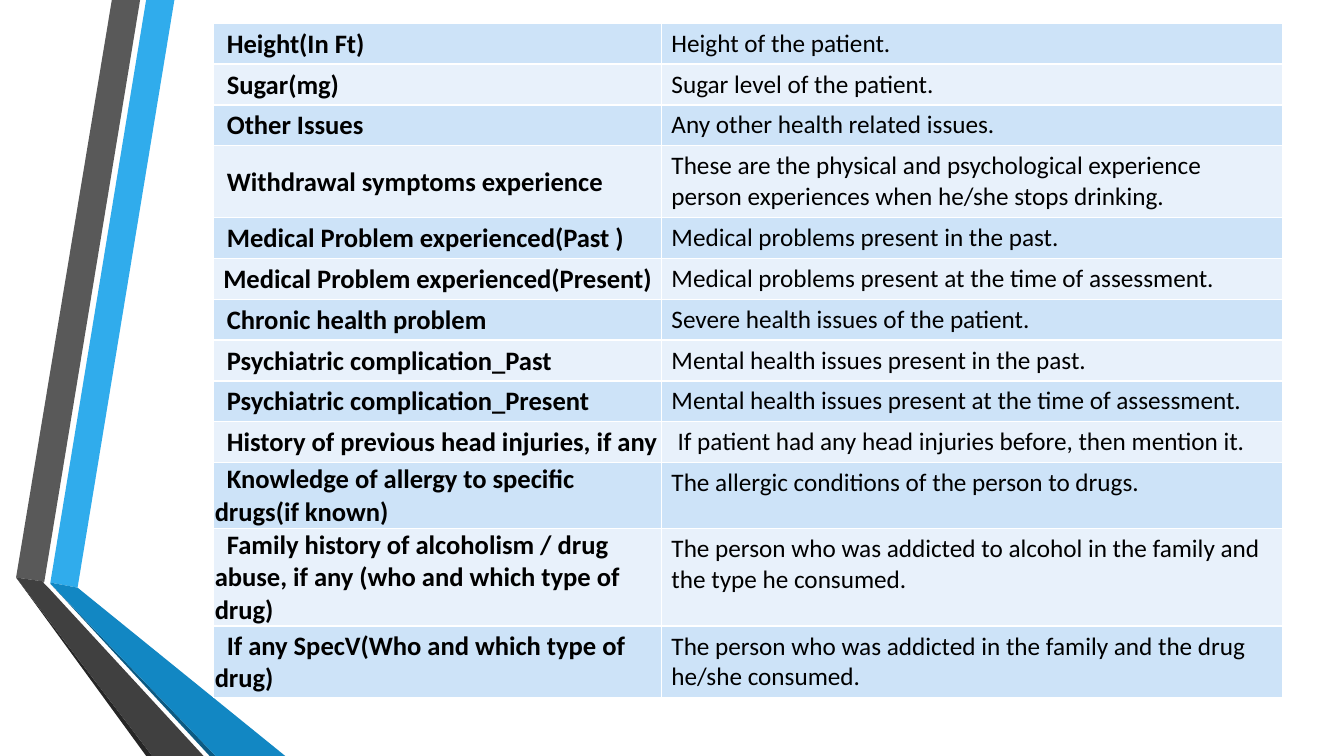
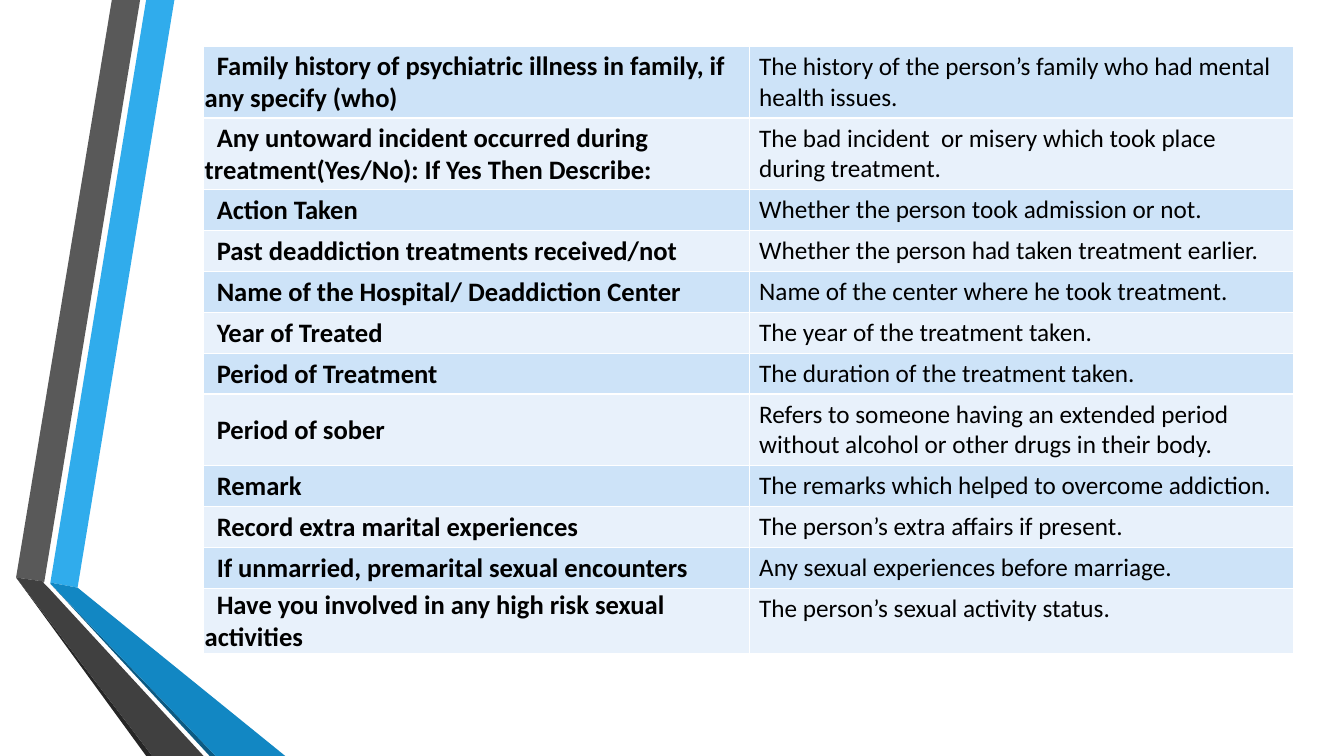
"""Builds two slides of patient record fields beside a folded ribbon."""
import lxml.etree
import pptx
import pptx.dml.color
import pptx.enum.text
import pptx.oxml.ns
import pptx.util

PX = 9144
FONT = "Calibri"
ALIGN = pptx.enum.text.PP_ALIGN
ANCHOR = pptx.enum.text.MSO_ANCHOR
HEX = {
    "sky": "30ACEC", "grey": "595959", "black": "262626", "navy": "0C5A82",
    "blue": "1287C3", "coal": "404040", "ink": "000000", "rule": "FFFFFF",
    "dark": "CDE3F8", "light": "E8F1FB",
}
BANDS = [
    ("sky", [(50, 578), (77, 583), (173, 0), (145, 0)]),
    ("grey", [(139, 0), (111, 0), (16, 573), (44, 577)]),
    ("black", [(16, 573), (145, 750), (151, 750)]),
    ("navy", [(50, 579), (208, 750), (214, 750)]),
    ("blue", [(50, 579), (214, 750), (283, 750), (77, 583), (50, 578)]),
    ("coal", [(202, 750), (48, 583), (43, 578), (44, 577), (16, 573), (151, 750)]),
]
LABEL = dict(size=19, bold=True, indent=12, anchor=ANCHOR.MIDDLE, inset=(1, 1, 1, 0))
MIDDLE = dict(align=ALIGN.CENTER, indent=0)
HEALTH = [
    ("Height(In Ft)", "Height of the patient."),
    ("Sugar(mg)", "Sugar level of the patient."),
    ("Other Issues", "Any other health related issues."),
    ("Withdrawal symptoms experience",
     "These are the physical and psychological experience person experiences "
     "when he/she stops drinking."),
    ("Medical Problem experienced(Past )", "Medical problems present in the past."),
    ("Medical Problem experienced(Present)",
     "Medical problems present at the time of assessment.", MIDDLE),
    ("Chronic health problem", "Severe health issues of the patient."),
    ("Psychiatric complication_Past", "Mental health issues present in the past."),
    ("Psychiatric complication_Present",
     "Mental health issues present at the time of assessment."),
    ("History of previous head injuries, if any",
     "If patient had any head injuries before, then mention it.",
     {}, dict(indent=6)),
    ("Knowledge of allergy to specific drugs(if known)",
     "The allergic conditions of the person to drugs."),
    ("Family history of alcoholism / drug abuse, if any (who and which type of drug)",
     "The person who was addicted to alcohol in the family and the type he consumed."),
    ("If any SpecV(Who and which type of drug)",
     "The person who was addicted in the family and the drug he/she consumed."),
]
CARE = [
    ("Family history of psychiatric illness in family, if any specify (who)",
     "The history of the person’s family who had mental health issues."),
    ("Any untoward incident occurred during treatment(Yes/No): If Yes Then Describe:",
     "The bad incident  or misery which took place during treatment."),
    ("Action Taken", "Whether the person took admission or not."),
    ("Past deaddiction treatments received/not",
     "Whether the person had taken treatment earlier."),
    ("Name of the Hospital/ Deaddiction Center",
     "Name of the center where he took treatment."),
    ("Year of Treated", "The year of the treatment taken."),
    ("Period of Treatment", "The duration of the treatment taken."),
    ("Period of sober",
     "Refers to someone having an extended period without alcohol or other drugs "
     "in their body."),
    ("Remark", "The remarks which helped to overcome addiction."),
    ("Record extra marital experiences", "The person’s extra affairs if present."),
    ("If unmarried, premarital sexual encounters",
     "Any sexual experiences before marriage."),
    ("Have you involved in any high risk sexual activities",
     "The person’s sexual activity status."),
]


def px(n):
    return pptx.util.Emu(n * PX)


def paint(fill, name):
    fill.solid()
    fill.fore_color.rgb = pptx.dml.color.RGBColor.from_string(HEX[name])


def write(cell, text, size=18, bold=False, indent=0, align=ALIGN.LEFT,
          anchor=ANCHOR.TOP, inset=(10, 5, 10, 5)):
    sides = ("margin_left", "margin_top", "margin_right", "margin_bottom")
    for side, gap in zip(sides, inset):
        setattr(cell, side, px(gap))
    cell.vertical_anchor = anchor
    para = cell.text_frame.paragraphs[0]
    para.alignment = align
    para._p.get_or_add_pPr().set("indent", str(px(indent)))
    run = para.add_run()
    run.text = text
    run.font.name, run.font.size, run.font.bold = FONT, pptx.util.Pt(size), bold
    paint(run.font.fill, "ink")


def edge(cell):
    qn = pptx.oxml.ns.qn
    props = cell._tc.get_or_add_tcPr()
    for side in ("lnL", "lnR", "lnT", "lnB"):
        line = lxml.etree.SubElement(props, qn("a:" + side), w=str(pptx.util.Pt(1)))
        fill = lxml.etree.SubElement(line, qn("a:solidFill"))
        lxml.etree.SubElement(fill, qn("a:srgbClr"), val=HEX["rule"])


def grid(slide, left, top, widths, rows):
    high = 40
    frame = slide.shapes.add_table(len(rows), len(widths), px(left), px(top),
                                   px(sum(widths)), px(high * len(rows)))
    table = frame.table
    table.first_row = table.horz_banding = False
    for col, wide in zip(table.columns, widths):
        col.width = px(wide)
    for i, (label, note, *extra) in enumerate(rows):
        table.rows[i].height = px(high)
        first, second = (extra + [{}, {}])[:2]
        write(table.cell(i, 0), label, **{**LABEL, **first})
        write(table.cell(i, 1), note, **second)
        for cell in table.rows[i].cells:
            edge(cell)
            paint(cell.fill, ("dark", "light")[i % 2])


def ribbon(slide, master):
    for num, (name, points) in enumerate(BANDS, 101):
        pen = slide.shapes.build_freeform(*points[0], scale=float(PX))
        pen.add_line_segments(points[1:], close=True)
        band = pen.convert_to_shape()
        paint(band.fill, name)
        band.line.fill.background()
        band.shadow.inherit = False
        band.element.nvSpPr.cNvPr.set("id", str(num))
        master.shapes.element.append(band.element)


def main():
    deck = pptx.Presentation()
    deck.slide_width, deck.slide_height = px(1333), px(750)
    blank = deck.slide_layouts[6]
    health, care = (deck.slides.add_slide(blank) for _ in range(2))
    ribbon(health, deck.slide_master)
    grid(health, 212, 23, (444, 616), HEALTH)
    grid(care, 202, 46, (541, 540), CARE)
    deck.save("out.pptx")


if __name__ == "__main__":
    main()
